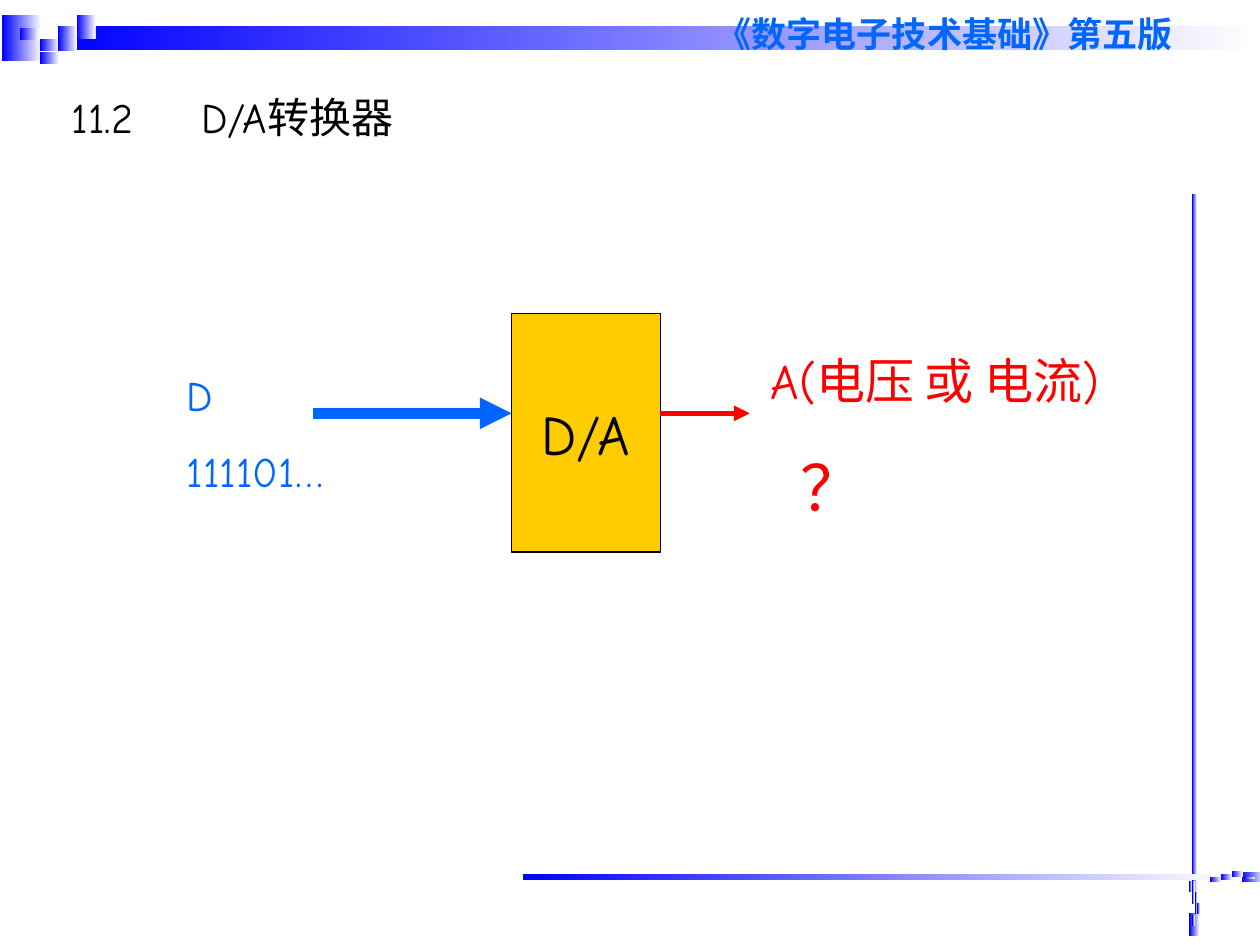
"""Build the D/A converter slide with its gradient ornaments and block diagram."""
import math

from pptx import Presentation
from pptx.dml.color import RGBColor
from pptx.enum.shapes import MSO_CONNECTOR, MSO_SHAPE
from pptx.enum.text import MSO_ANCHOR, PP_ALIGN
from pptx.oxml.ns import qn
from pptx.oxml.xmlchemy import OxmlElement
from pptx.util import Pt

RECTANGLE = MSO_SHAPE.RECTANGLE
STRAIGHT = MSO_CONNECTOR.STRAIGHT
TOP, MIDDLE = MSO_ANCHOR.TOP, MSO_ANCHOR.MIDDLE
LEFT, CENTER = PP_ALIGN.LEFT, PP_ALIGN.CENTER

WHITE = RGBColor(0xFF, 0xFF, 0xFF)
BLACK = RGBColor(0x00, 0x00, 0x00)
DEEP_BLUE = RGBColor(0x00, 0x00, 0xFF)
BLUE = RGBColor(0x00, 0x66, 0xFF)
RED = RGBColor(0xFF, 0x00, 0x00)
AMBER = RGBColor(0xFF, 0xCC, 0x00)

TILE = (10.8, 7)
TILE_CORNERS = [(31.7, 6.5), (42.5, 0), (42.5, 6.5), (21.6, 13.7),
                (10.1, 7.2), (31.7, 13.7), (21.6, 20.9)]
ORNAMENT = [(0, 0, 22.3, 26.6), (32.4, 6.5, 686.2, 13.7)]
ORNAMENT += [corner + TILE for corner in TILE_CORNERS]


class SlideBuilder:
    def __init__(self, page, font="Comic Neue"):
        self.page = page
        self.font = font

    def gradient(self, left, top, width, height, rotation):
        box = self.page.shapes.add_shape(
            RECTANGLE, Pt(left), Pt(top), Pt(width), Pt(height))
        box.shadow.inherit = False
        box.rotation = rotation
        box.line.fill.background()
        box.fill.gradient()
        box.fill.gradient_angle = 180
        for stop, color in zip(box.fill.gradient_stops, (WHITE, DEEP_BLUE)):
            stop.color.rgb = color
        box._element.spPr.find(qn("a:gradFill")).set("rotWithShape", "0")

    def ornament(self, x, y, rotation=0, scale_x=1, scale_y=1):
        cosine = math.cos(math.radians(rotation))
        sine = math.sin(math.radians(rotation))
        for left, top, width, height in ORNAMENT:
            across = (left + width / 2) * scale_x
            down = (top + height / 2) * scale_y
            width, height = width * scale_x, height * scale_y
            center_x = x + across * cosine - down * sine
            center_y = y + across * sine + down * cosine
            self.gradient(center_x - width / 2, center_y - height / 2,
                          width, height, rotation)

    def fill_text(self, box, lines, color, anchor=TOP, wrap=True):
        frame = box.text_frame
        frame.word_wrap = wrap
        frame.vertical_anchor = anchor
        for index, (text, style) in enumerate(lines):
            para = frame.add_paragraph() if index else frame.paragraphs[0]
            para.alignment = style.get("align", LEFT)
            if "before" in style:
                para.space_before = Pt(style["before"])
            properties = para._p.get_or_add_pPr()
            if "indent" in style:
                properties.set("marL", str(Pt(style["indent"])))
            if "tab" in style:
                stops = OxmlElement("a:tabLst")
                stop = OxmlElement("a:tab")
                stop.set("pos", str(Pt(style["tab"])))
                stop.set("algn", "l")
                stops.append(stop)
                properties.append(stops)
            span = para.add_run()
            span.text = text
            values = {"name": style.get("font", self.font),
                      "size": Pt(style["size"]),
                      "bold": style.get("bold", False)}
            for name, value in values.items():
                setattr(span.font, name, value)
            span.font.color.rgb = color

    def text(self, left, top, width, height, lines, color):
        box = self.page.shapes.add_textbox(
            Pt(left), Pt(top), Pt(width), Pt(height))
        self.fill_text(box, lines, color)

    def block(self, left, top, width, height, lines):
        box = self.page.shapes.add_shape(
            RECTANGLE, Pt(left), Pt(top), Pt(width), Pt(height))
        box.shadow.inherit = False
        box.fill.solid()
        box.fill.fore_color.rgb = AMBER
        box.line.color.rgb = BLACK
        box.line.width = Pt(0.75)
        self.fill_text(box, lines, BLACK, MIDDLE, wrap=False)

    def arrow(self, start, end, y, color, weight):
        arrow = self.page.shapes.add_connector(
            STRAIGHT, Pt(start), Pt(y), Pt(end), Pt(y))
        arrow.line.color.rgb = color
        arrow.line.width = Pt(weight)
        head = OxmlElement("a:tailEnd")
        head.set("type", "triangle")
        arrow._element.spPr.find(qn("a:ln")).append(head)
        arrow._element.spPr.append(OxmlElement("a:effectLst"))


def main():
    deck = Presentation()
    deck.slide_width, deck.slide_height = Pt(720), Pt(540)
    builder = SlideBuilder(deck.slides.add_slide(deck.slide_layouts[6]))

    builder.ornament(1.4, 8.6)
    builder.ornament(679.7, 535, 270, 0.59, 0.22)
    builder.ornament(722.9, 504, 180, 0.59, 0.22)

    builder.text(402.5, 3.6, 292.3, 31.7, [
        ("《数字电子技术基础》第五版",
         {"size": 20, "font": "Arial", "bold": True})], BLUE)
    builder.text(33.8, 49, 640.8, 439.9, [
        ("11.2\tD/A转换器", {"size": 24, "tab": 74})], BLACK)

    builder.text(99.4, 207.4, 113.8, 79.9, [
        ("D", {"size": 24}),
        ("111101…", {"size": 24, "before": 15})], BLUE)
    builder.block(292.3, 179.3, 85, 136.1, [
        ("D/A", {"size": 32, "align": CENTER})])
    builder.arrow(178.6, 292.3, 236.2, BLUE, 6)
    builder.arrow(377.3, 428.4, 236.2, RED, 3)
    builder.text(433.4, 196.6, 249.1, 106.6, [
        ("A(电压 或 电流)", {"size": 28}),
        ("？", {"size": 36, "before": 22.5, "indent": 17})], RED)

    deck.save("out.pptx")


if __name__ == "__main__":
    main()
